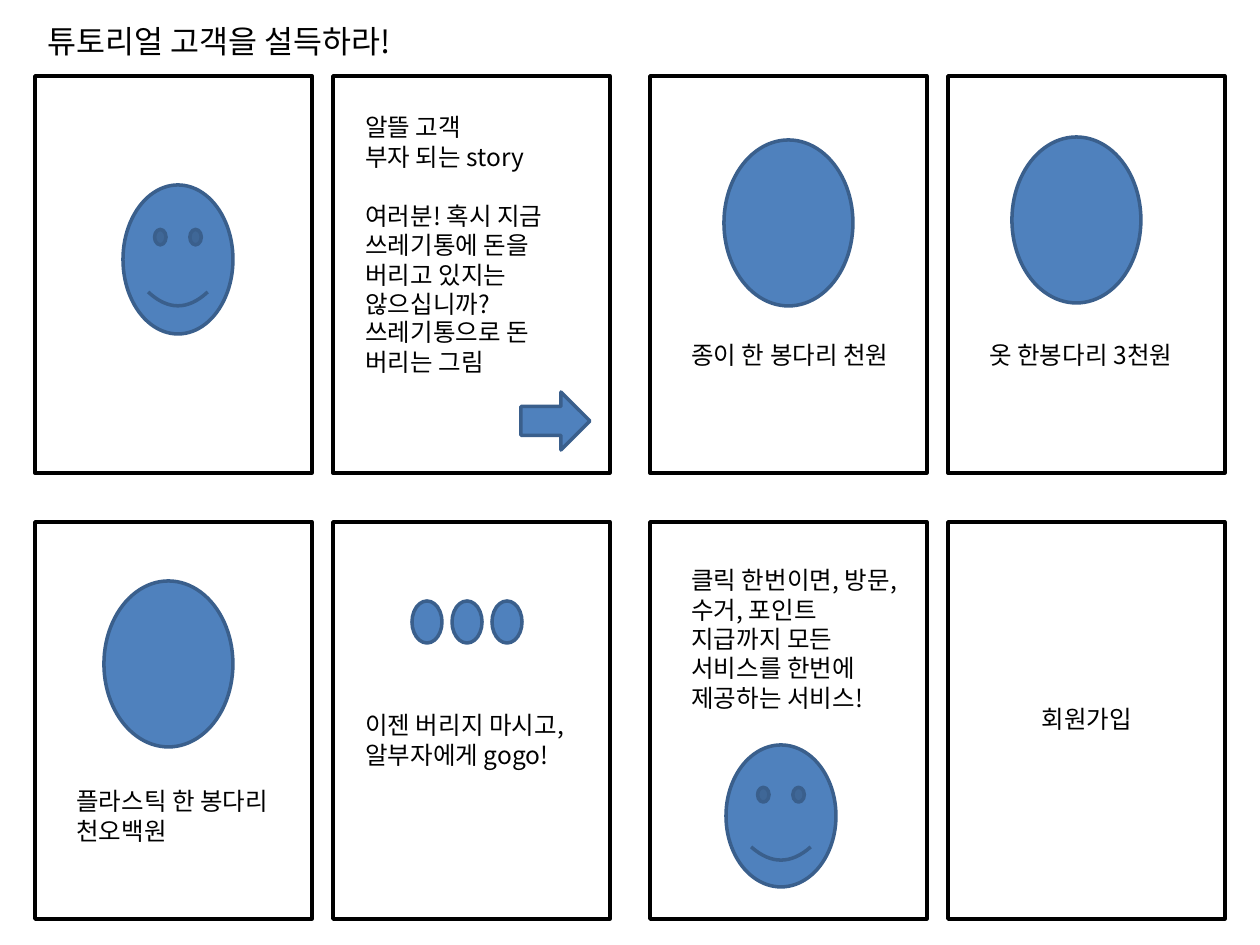
from pptx import Presentation
from pptx import util as u
from pptx.dml.color import RGBColor
from pptx.enum import shapes, text
from pptx.oxml.ns import qn

SCALE = 914400 // 126
FONT = "Noto Sans CJK KR"
BLACK = RGBColor(0, 0, 0)
WHITE = RGBColor(255, 255, 255)
BLUE = RGBColor(0x4F, 0x81, 0xBD)
NAVY = RGBColor(0x3A, 0x5F, 0x8C)
KIND = shapes.MSO_SHAPE
LEFT, MID = text.PP_ALIGN.LEFT, text.PP_ALIGN.CENTER

TITLE = "튜토리얼 고객을 설득하라!"
NOTES = [
    ((353, 106, 238, 220), ["알뜰 고객", "부자 되는 story",
                            "여러분! 혹시 지금 쓰레기통에 돈을 버리고 있지는 않으십니까?"]),
    ((353, 311, 238, 72), ["쓰레기통으로 돈 버리는 그림"]),
    ((679, 334, 238, 72), ["종이 한 봉다리 천원"]),
    ((977, 334, 238, 43), ["옷 한봉다리 3천원"]),
    ((64, 780, 238, 72), ["플라스틱 한 봉다리 천오백원"]),
    ((353, 704, 238, 102), ["이젠 버리지 마시고, 알부자에게 gogo!"]),
    ((679, 559, 238, 161),
     ["클릭 한번이면, 방문, 수거, 포인트 지급까지 모든 서비스를 한번에 제공하는 서비스!"]),
]
JOIN = ((968, 698, 238, 43), ["회원가입"])
FACES = [(123, 185, 110, 149), (726, 745, 110, 142)]
BAGS = [(724, 140), (1012, 137), (104, 581)]


def px(*vals):
    """Turn pixels into EMU."""
    return [u.Emu(v * SCALE) for v in vals]


def shape(slide, kind, box, fill=BLUE, edge=NAVY):
    """Add a filled shape with a 2 pt outline."""
    item = slide.shapes.add_shape(kind, *px(*box))
    item.shadow.inherit = False
    item.fill.solid()
    item.fill.fore_color.rgb = fill
    item.line.color.rgb = edge
    item.line.width = u.Pt(2)


def write(frame, lines, size=14, align=LEFT):
    """Fill a text frame with one paragraph per line."""
    style = {"word_wrap": True, "auto_size": text.MSO_AUTO_SIZE.NONE,
             "vertical_anchor": text.MSO_ANCHOR.TOP}
    for name, val in style.items():
        setattr(frame, name, val)
    for i, line in enumerate(lines):
        para = frame.paragraphs[0] if i == 0 else frame.add_paragraph()
        look = {"alignment": align, "line_spacing": u.Pt(size * 1.2),
                "space_before": u.Pt(17 if i == 2 else 0)}
        for name, val in look.items():
            setattr(para, name, val)
        run = para.add_run()
        run.text = line
        for name, val in {"name": FONT, "size": u.Pt(size)}.items():
            setattr(run.font, name, val)
        run.font.color.rgb = BLACK
        east = run.font._element.makeelement(qn("a:ea"), {"typeface": FONT})
        run.font._element.append(east)


def note(slide, box, lines, align=LEFT):
    """Add a text box."""
    write(slide.shapes.add_textbox(*px(*box)).text_frame, lines, align=align)


def head(slide):
    """Place and fill the title."""
    title = slide.shapes.title
    spots = px(35, 16, 486, 50)
    for name, val in zip(("left", "top", "width", "height"), spots):
        setattr(title, name, val)
    write(title.text_frame, [TITLE], size=18)


def main():
    """Build the storyboard slide."""
    deck = Presentation()
    deck.slide_width, deck.slide_height = px(1260, 945)
    slide = deck.slides.add_slide(deck.slide_layouts[5])
    head(slide)
    for row in range(2):
        for col in range(4):
            left = 35 + col // 2 * 615 + col % 2 * 298
            shape(slide, KIND.RECTANGLE, (left, 76 + row * 446, 277, 397),
                  WHITE, BLACK)
    for box in FACES:
        shape(slide, KIND.SMILEY_FACE, box)
    for left, top in BAGS:
        shape(slide, KIND.OVAL, (left, top, 129, 166))
    for i in range(3):
        shape(slide, KIND.OVAL, (412 + i * 40, 601, 30, 42))
    shape(slide, KIND.RIGHT_ARROW, (521, 392, 69, 58))
    for box, lines in NOTES:
        note(slide, box, lines)
    note(slide, *JOIN, align=MID)
    deck.save("out.pptx")


main()
